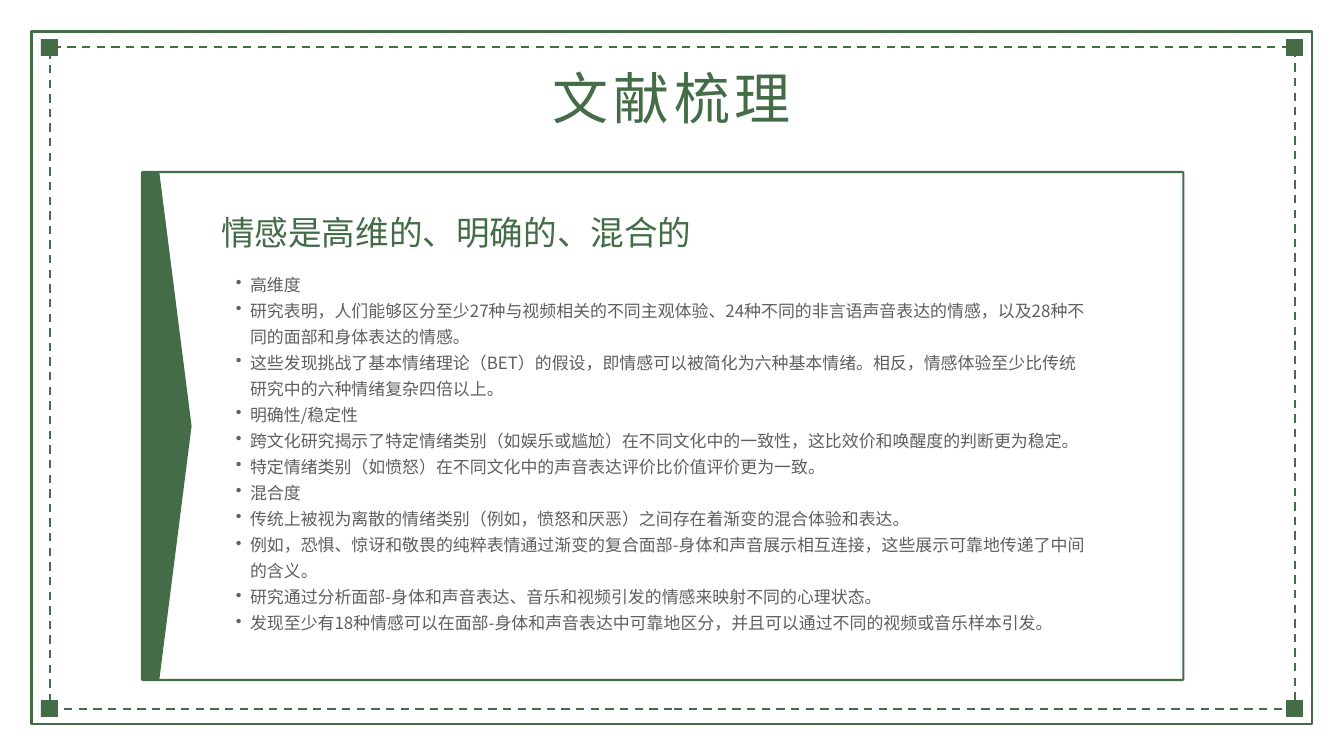
from dataclasses import dataclass
from itertools import product
from typing import Optional

from lxml import etree
from pptx import Presentation
from pptx.dml.color import RGBColor
from pptx.enum.dml import MSO_LINE
from pptx.enum.shapes import MSO_SHAPE
from pptx.enum.text import MSO_ANCHOR, MSO_AUTO_SIZE, PP_ALIGN
from pptx.oxml.ns import qn
from pptx.util import Pt

RECT = MSO_SHAPE.RECTANGLE
ROUND = MSO_SHAPE.ROUNDED_RECTANGLE
DASH = MSO_LINE.DASH
LEFT, CENTER = PP_ALIGN.LEFT, PP_ALIGN.CENTER
TOP = MSO_ANCHOR.TOP


@dataclass(frozen=True)
class Theme:
    green: RGBColor = RGBColor(0x44, 0x6C, 0x47)
    gray: RGBColor = RGBColor(0x60, 0x5F, 0x5F)
    white: RGBColor = RGBColor(0xFF, 0xFF, 0xFF)
    font: str = "Calibri"
    mixed: str = "Noto Sans CJK JP"
    title: float = 60
    head: float = 36
    body: float = 18.1
    line: float = 2.25


@dataclass(frozen=True)
class Box:
    x: float
    y: float
    w: float
    h: float

    def emu(self) -> tuple:
        return Pt(self.x), Pt(self.y), Pt(self.w), Pt(self.h)


@dataclass(frozen=True)
class Style:
    size: float
    lead: float
    color: RGBColor
    align: PP_ALIGN = LEFT


THEME = Theme()
TITLE = Style(THEME.title, 84, THEME.green, CENTER)
HEAD = Style(THEME.head, 50.4, THEME.green)
BODY = Style(THEME.body, 27.9, THEME.gray)

FRAME = Box(33.8, 33.8, 1372.4, 742.2)
DASHED = Box(53.3, 50.4, 1334, 709.2)
CARD = Box(152, 184.3, 1116, 544.3)
CORNER = 18

POINTS = [
    "高维度",
    "研究表明，人们能够区分至少27种与视频相关的不同主观体验、24种不同的非言语声音表达的情感，以及28种不同的面部和身体表达的情感。",
    "这些发现挑战了基本情绪理论（BET）的假设，即情感可以被简化为六种基本情绪。相反，情感体验至少比传统研究中的六种情绪复杂四倍以上。",
    "明确性/稳定性",
    "跨文化研究揭示了特定情绪类别（如娱乐或尴尬）在不同文化中的一致性，这比效价和唤醒度的判断更为稳定。",
    "特定情绪类别（如愤怒）在不同文化中的声音表达评价比价值评价更为一致。",
    "混合度",
    "传统上被视为离散的情绪类别（例如，愤怒和厌恶）之间存在着渐变的混合体验和表达。",
    "例如，恐惧、惊讶和敬畏的纯粹表情通过渐变的复合面部-身体和声音展示相互连接，这些展示可靠地传递了中间的含义。",
    "研究通过分析面部-身体和声音表达、音乐和视频引发的情感来映射不同的心理状态。",
    "发现至少有18种情感可以在面部-身体和声音表达中可靠地区分，并且可以通过不同的视频或音乐样本引发。",
]


def paint(shape, fill: Optional[RGBColor], line: Optional[RGBColor] = None) -> None:
    shape.shadow.inherit = False
    if fill is None:
        shape.fill.background()
    else:
        shape.fill.solid()
        shape.fill.fore_color.rgb = fill
    if line is None:
        shape.line.fill.background()
    else:
        shape.line.color.rgb = line
        shape.line.width = Pt(THEME.line)


def panel(slide, kind: MSO_SHAPE, box: Box, fill: Optional[RGBColor],
          line: Optional[RGBColor] = None):
    shape = slide.shapes.add_shape(kind, *box.emu())
    paint(shape, fill, line)
    return shape


def bullet(para) -> None:
    para.level = 1
    props = para._p.get_or_add_pPr()
    props.set("marL", str(Pt(31)))
    props.set("indent", str(Pt(-15.1)))
    mark = etree.Element(qn("a:buChar"), char="•")
    fonts = props.find(qn("a:defRPr"))
    fonts.addprevious(mark)


def write(shape, lines: list[str], style: Style, marked: bool = False) -> None:
    frame = shape.text_frame
    frame.word_wrap = True
    frame.auto_size = MSO_AUTO_SIZE.NONE
    frame.vertical_anchor = TOP
    frame.margin_left = frame.margin_right = 0
    frame.margin_top = frame.margin_bottom = 0
    for i, text in enumerate(lines):
        para = frame.paragraphs[0] if i == 0 else frame.add_paragraph()
        para.text = text
        para.alignment = style.align
        para.line_spacing = Pt(style.lead)
        para.space_before = para.space_after = Pt(0)
        # Lines that mix scripts take the wider font
        mixed = any(c.isascii() for c in text)
        font = para.font
        font.name = THEME.mixed if mixed else THEME.font
        font.size = Pt(style.size)
        font.color.rgb = style.color
        if marked:
            bullet(para)


def border(slide) -> None:
    panel(slide, RECT, FRAME, THEME.white, THEME.green)
    panel(slide, RECT, DASHED, THEME.white, THEME.green).line.dash_style = DASH
    for y, x in product((41.8, 750.2), (43.9, 1378.1)):
        panel(slide, RECT, Box(x, y, CORNER, CORNER), THEME.green)


def card(slide) -> None:
    shape = panel(slide, ROUND, CARD, None, THEME.green)
    shape.adjustments[0] = 1.5 / CARD.h
    # Arrow-like band on the left edge
    x, y, h = CARD.x, CARD.y, CARD.h
    pen = slide.shapes.build_freeform(Pt(x), Pt(y))
    rest = [(18.7, 0), (53.3, h / 2), (18.7, h), (0, h)]
    pen.add_line_segments([(Pt(x + a), Pt(y + b)) for a, b in rest])
    paint(pen.convert_to_shape(), THEME.green)


def label(slide, box: Box, lines: list[str], style: Style,
          marked: bool = False) -> None:
    write(slide.shapes.add_textbox(*box.emu()), lines, style, marked)


def main() -> None:
    deck = Presentation()
    deck.slide_width, deck.slide_height = Pt(1440), Pt(810)
    slide = deck.slides.add_slide(deck.slide_layouts[5])

    border(slide)
    card(slide)

    # Title, raised above the frame
    title = slide.shapes.title
    title.left, title.top, title.width, title.height = Box(379.4, 56.2, 681.2, 82.1).emu()
    write(title, ["文献梳理"], TITLE)
    title.text_frame.paragraphs[0].font._element.set("spc", "500")
    slide.shapes._spTree.append(title._element)

    # Card text
    label(slide, Box(236.9, 219.6, 604.1, 49), ["情感是高维的、明确的、混合的"], HEAD)
    label(slide, Box(236.9, 288, 929.5, 470.9), POINTS, BODY, marked=True)

    deck.save("out.pptx")


if __name__ == "__main__":
    main()
